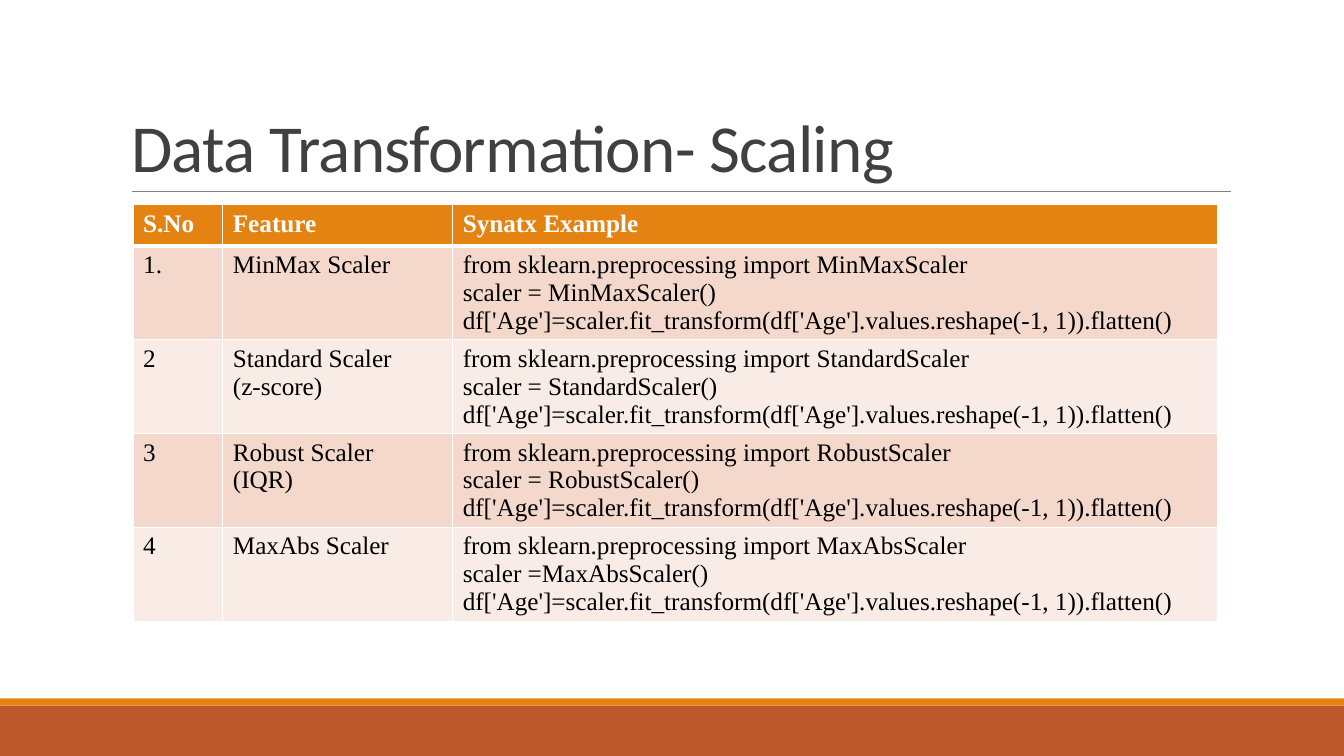
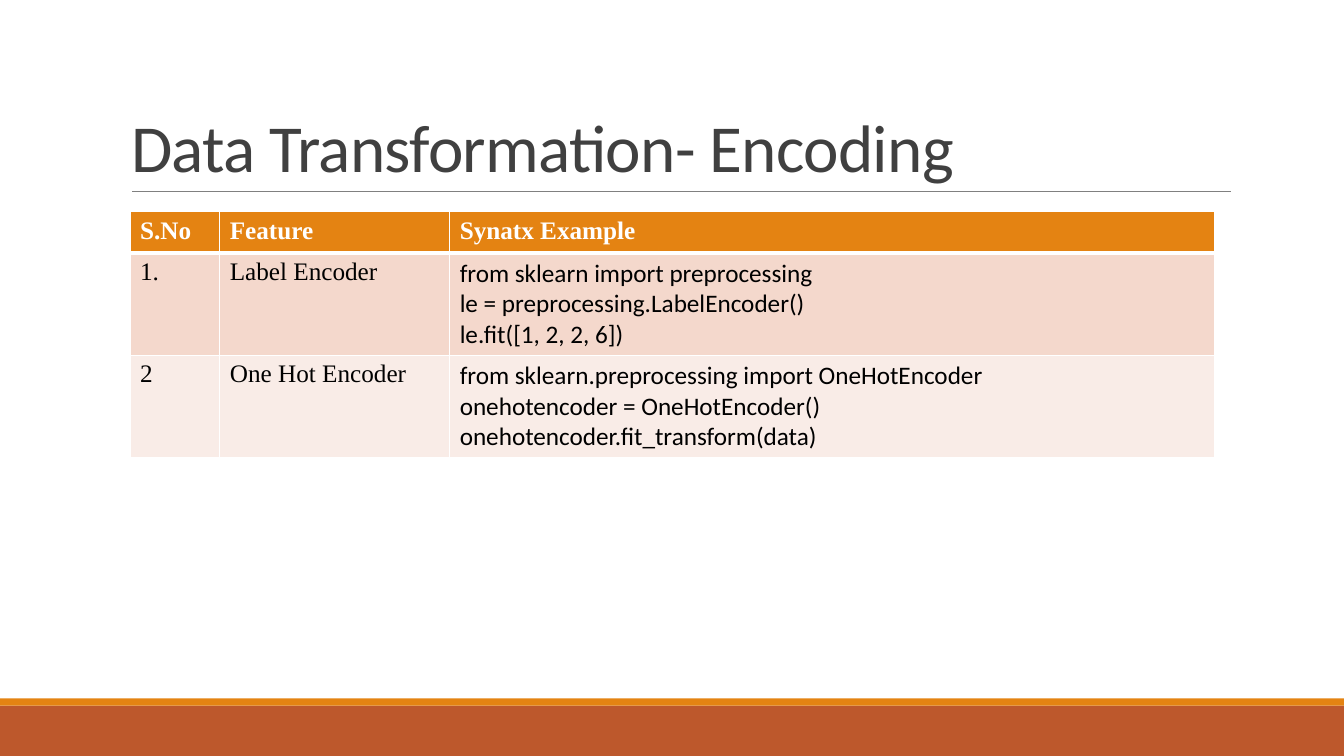
from dataclasses import dataclass

from lxml import etree
from pptx import Presentation
from pptx.dml.color import RGBColor
from pptx.enum.shapes import MSO_CONNECTOR, MSO_SHAPE
from pptx.enum.text import MSO_ANCHOR, MSO_AUTO_SIZE, PP_ALIGN
from pptx.oxml.ns import qn
from pptx.util import Inches, Pt

RECT = MSO_SHAPE.RECTANGLE
STRAIGHT = MSO_CONNECTOR.STRAIGHT
BOTTOM = MSO_ANCHOR.BOTTOM
LEFT = PP_ALIGN.LEFT
NO_FIT = MSO_AUTO_SIZE.NONE


@dataclass(frozen=True)
class Theme:
    """Colours, fonts and type sizes of the deck."""
    rust: str = "BD582C"
    orange: str = "E48312"
    rule: str = "808080"
    title: str = "404040"
    text: str = "000000"
    white: str = "FFFFFF"
    tints: tuple = ("F4D8CC", "F9ECE7")
    sans: str = "Calibri"
    serif: str = "Times New Roman"
    title_size: float = 48
    text_size: float = 18
    thin: float = 0.96
    thick: float = 3


THEME = Theme()

# Content: "\v" breaks a line, "\n" starts a paragraph
HEAD = ("S.No", "Feature", "Synatx Example")
FIT = "df['Age']=scaler.fit_transform(df['Age'].values.reshape(-1, 1)).flatten()"
SCALE = "from sklearn.preprocessing import {0}\vscaler ={1}{0}()\v" + FIT

SLIDES = [
    {
        "title": "Data Transformation- Scaling",
        "place": (1.32, 2.03), "row": 0.93, "font": THEME.serif,
        "rows": [
            ("1.", "MinMax Scaler", SCALE.format("MinMaxScaler", " ")),
            ("2", "Standard Scaler\n(z-score)", SCALE.format("StandardScaler", " ")),
            ("3", "Robust Scaler\n(IQR)", SCALE.format("RobustScaler", " ")),
            ("4", "MaxAbs Scaler", SCALE.format("MaxAbsScaler", "")),
        ],
    },
    {
        "title": "Data Transformation- Encoding",
        "place": (1.29, 2.1), "row": 0.41, "font": THEME.sans,
        "rows": [
            ("1.", "Label Encoder",
             "from sklearn import preprocessing\n"
             "le = preprocessing.LabelEncoder()\n"
             "le.fit([1, 2, 2, 6])"),
            ("2", "One Hot Encoder",
             "from sklearn.preprocessing import OneHotEncoder\v"
             "onehotencoder = OneHotEncoder()\v"
             "onehotencoder.fit_transform(data)"),
        ],
    },
]

# Layout, in inches
WIDE, HIGH = 13.33, 7.5
BANDS = [(7, 0.5, THEME.rust), (6.93, 0.07, THEME.orange)]
RULE = (1.31, 1.9, 12.21, 1.9)
TITLE = {"left": 1.2, "top": 0.31, "width": 11, "height": 1.59}
COLS = (0.89, 2.28, 7.59)
HEAD_ROW = 0.41


def color(code):
    """Turn a hex code into a colour."""
    return RGBColor.from_string(code)


def apply(item, values):
    """Set each named value on an item."""
    for name, value in values.items():
        setattr(item, name, value)


def style(frame, font, size, code, bold=False, **para):
    """Format all text in a frame."""
    look = {"name": font, "size": Pt(size), "bold": bold}
    for line in frame.paragraphs:
        apply(line, {"alignment": LEFT, **para})
        for run in line.runs:
            apply(run.font, look)
            run.font.color.rgb = color(code)


def set_layout(layout):
    """Place the title and drop the unused placeholders of a layout."""
    for holder in list(layout.placeholders):
        if holder.placeholder_format.idx:
            holder.element.getparent().remove(holder.element)
        else:
            apply(holder, {key: Inches(n) for key, n in TITLE.items()})


def add_frame(slide):
    """Draw the bands and rule, then move them to the slide's layout."""
    parts = []
    for top, height, code in BANDS:
        band = slide.shapes.add_shape(
            RECT, 0, Inches(top), Inches(WIDE), Inches(height))
        band.shadow.inherit = False
        band.fill.solid()
        band.fill.fore_color.rgb = color(code)
        band.line.fill.background()
        parts.append(band)
    rule = slide.shapes.add_connector(STRAIGHT, *map(Inches, RULE))
    rule.line.width = Pt(0.5)
    rule.line.color.rgb = color(THEME.rule)
    etree.SubElement(rule.element.spPr, qn("a:effectLst"))
    parts.append(rule)
    tree = slide.slide_layout.shapes.element
    for part in parts:
        tree.append(part.element)


def set_title(slide, text):
    """Fill and format the title."""
    holder = slide.shapes.title
    frame = holder.text_frame
    frame.text = text
    apply(frame, {"vertical_anchor": BOTTOM, "word_wrap": True,
                  "auto_size": NO_FIT})
    style(frame, THEME.sans, THEME.title_size, THEME.title, line_spacing=0.85)
    for props in holder.element.iter(qn("a:rPr")):
        props.set("spc", "-50")


def add_borders(frame):
    """Give cells white borders, thick below the header."""
    for row, line in enumerate(frame.element.iter(qn("a:tr"))):
        wide = {(0, "B"), (1, "T")}
        for props in line.iter(qn("a:tcPr")):
            for place, side in enumerate("LRTB"):
                width = THEME.thick if (row, side) in wide else THEME.thin
                edge = etree.Element(qn("a:ln" + side), w=str(Pt(width)))
                fill = etree.SubElement(edge, qn("a:solidFill"))
                etree.SubElement(fill, qn("a:srgbClr"), val=THEME.white)
                props.insert(place, edge)


def add_grid(slide, place, rows, height, font):
    """Add the table of features and code."""
    heights = [HEAD_ROW] + [height] * len(rows)
    sizes = (*place, sum(COLS), sum(heights))
    frame = slide.shapes.add_table(
        len(heights), len(COLS), *map(Inches, sizes))
    table = frame.table
    for col, width in zip(table.columns, COLS):
        col.width = Inches(width)
    for r, values in enumerate([HEAD, *rows]):
        table.rows[r].height = Inches(heights[r])
        head = r == 0
        fill = THEME.orange if head else THEME.tints[(r - 1) % 2]
        ink = THEME.white if head else THEME.text
        for c, text in enumerate(values):
            cell = table.cell(r, c)
            cell.text = text
            cell.fill.solid()
            cell.fill.fore_color.rgb = color(fill)
            code = not head and c == len(COLS) - 1
            style(cell.text_frame, font if code else THEME.serif,
                  THEME.text_size, ink, head)
    add_borders(frame)


def build():
    """Build and save the deck."""
    deck = Presentation()
    apply(deck, {"slide_width": Inches(WIDE), "slide_height": Inches(HIGH)})
    layout = deck.slide_layouts[5]
    set_layout(layout)
    for number, item in enumerate(SLIDES):
        slide = deck.slides.add_slide(layout)
        if number == 0:
            add_frame(slide)
        set_title(slide, item["title"])
        add_grid(slide, item["place"], item["rows"], item["row"], item["font"])
    deck.save("out.pptx")


build()
